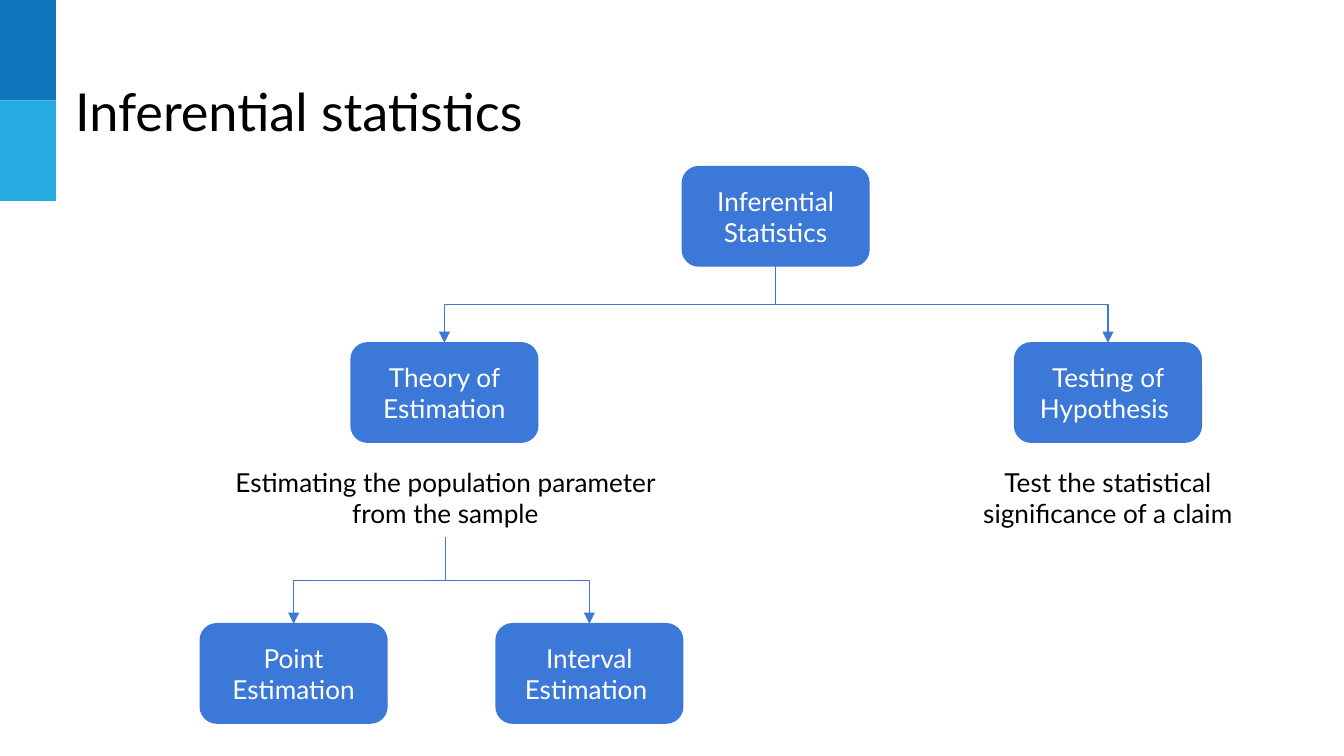
from lxml import etree
from pptx import Presentation
from pptx.dml.color import RGBColor
from pptx.enum import shapes, text
from pptx.oxml import ns
from pptx.util import Cm, Pt

FONT = "Lato"
BLUE = "3C78D8"
NODE_WIDTH, NODE_HEIGHT = 3.53, 1.88
CAPTION_TOP, CAPTION_HEIGHT = 8.56, 1.6
ROOT_TOP, BRANCH_TOP, LEAF_TOP = 3.15, 6.48, 11.79
ROOT_X = 14.66
ESTIMATION_X, HYPOTHESIS_X = 8.4, 20.94
POINT_X, INTERVAL_X = 5.55, 11.14
ESTIMATION_CAPTION_X = 8.42


def color(value):
    return RGBColor.from_string(value)


def write(box, words, size, shade, align, anchor):
    frame = box.text_frame
    frame.word_wrap = True
    frame.auto_size = text.MSO_AUTO_SIZE.NONE
    frame.vertical_anchor = anchor
    frame.margin_left = frame.margin_right = Cm(0.25)
    frame.margin_top = frame.margin_bottom = Cm(0.25)
    para = frame.paragraphs[0]
    para.alignment = align
    span = para.add_run()
    span.text = words
    span.font.name = FONT
    span.font.size = Pt(size)
    span.font.color.rgb = color(shade)


def add_title(page, words):
    title = page.shapes.title
    title.left, title.top, title.width, title.height = map(Cm, (1.17, 1.24, 18.72, 1.6))
    write(title, words, 28, "000000", text.PP_ALIGN.LEFT, text.MSO_ANCHOR.TOP)


def add_band(page, top, shade):
    band = page.shapes.add_shape(
        shapes.MSO_SHAPE.RECTANGLE, Cm(0), Cm(top), Cm(1.06), Cm(1.9)
    )
    band.shadow.inherit = False
    band.fill.solid()
    band.fill.fore_color.rgb = color(shade)
    band.line.fill.background()


def add_node(page, center, top, words):
    node = page.shapes.add_shape(
        shapes.MSO_SHAPE.ROUNDED_RECTANGLE,
        Cm(center - NODE_WIDTH / 2), Cm(top), Cm(NODE_WIDTH), Cm(NODE_HEIGHT),
    )
    node.shadow.inherit = False
    node.fill.solid()
    node.fill.fore_color.rgb = color(BLUE)
    node.line.color.rgb = color(BLUE)
    node.line.width = Pt(0.75)
    write(node, words, 14, "FFFFFF", text.PP_ALIGN.CENTER, text.MSO_ANCHOR.MIDDLE)


def add_caption(page, center, width, words):
    caption = page.shapes.add_textbox(
        Cm(center - width / 2), Cm(CAPTION_TOP), Cm(width), Cm(CAPTION_HEIGHT)
    )
    write(caption, words, 14, "000000", text.PP_ALIGN.CENTER, text.MSO_ANCHOR.TOP)


def add_branch(page, start_x, start_y, end_x, end_y):
    middle_x, middle_y = (start_x + end_x) / 2, (start_y + end_y) / 2
    half_drop, half_span = (end_y - start_y) / 2, abs(end_x - start_x) / 2
    rightward = end_x > start_x
    side = -1 if rightward else 1
    branch = page.shapes.add_connector(
        shapes.MSO_CONNECTOR.ELBOW,
        Cm(middle_x - side * half_drop), Cm(middle_y - half_span),
        Cm(middle_x + side * half_drop), Cm(middle_y + half_span),
    )
    branch.line.color.rgb = color(BLUE)
    branch.line.width = Pt(0.75)
    properties = branch._element.spPr
    degrees = 270 if rightward else 90
    properties.find(ns.qn("a:xfrm")).set("rot", str(degrees * 60000))
    outline = properties.find(ns.qn("a:ln"))
    etree.SubElement(outline, ns.qn("a:tailEnd"), type="triangle")
    etree.SubElement(properties, ns.qn("a:effectLst"))


def main():
    deck = Presentation()
    deck.slide_width, deck.slide_height = Cm(25.4), Cm(14.29)
    page = deck.slides.add_slide(deck.slide_layouts[5])

    add_band(page, 0, "0F75BD")
    add_band(page, 1.9, "25AAE2")
    add_title(page, "Inferential statistics")

    for center, top, words in (
        (ROOT_X, ROOT_TOP, "Inferential Statistics"),
        (ESTIMATION_X, BRANCH_TOP, "Theory of Estimation"),
        (HYPOTHESIS_X, BRANCH_TOP, "Testing of Hypothesis "),
        (POINT_X, LEAF_TOP, "Point Estimation"),
        (INTERVAL_X, LEAF_TOP, "Interval Estimation "),
    ):
        add_node(page, center, top, words)

    for end_x in (HYPOTHESIS_X, ESTIMATION_X):
        add_branch(page, ROOT_X, ROOT_TOP + NODE_HEIGHT, end_x, BRANCH_TOP)
    for end_x in (INTERVAL_X, POINT_X):
        add_branch(
            page, ESTIMATION_CAPTION_X, CAPTION_TOP + CAPTION_HEIGHT, end_x, LEAF_TOP
        )

    add_caption(
        page, ESTIMATION_CAPTION_X, 8.97,
        "Estimating the population parameter from the sample",
    )
    add_caption(
        page, HYPOTHESIS_X, 6.32, "Test the statistical significance of a claim"
    )
    deck.save("out.pptx")


if __name__ == "__main__":
    main()
